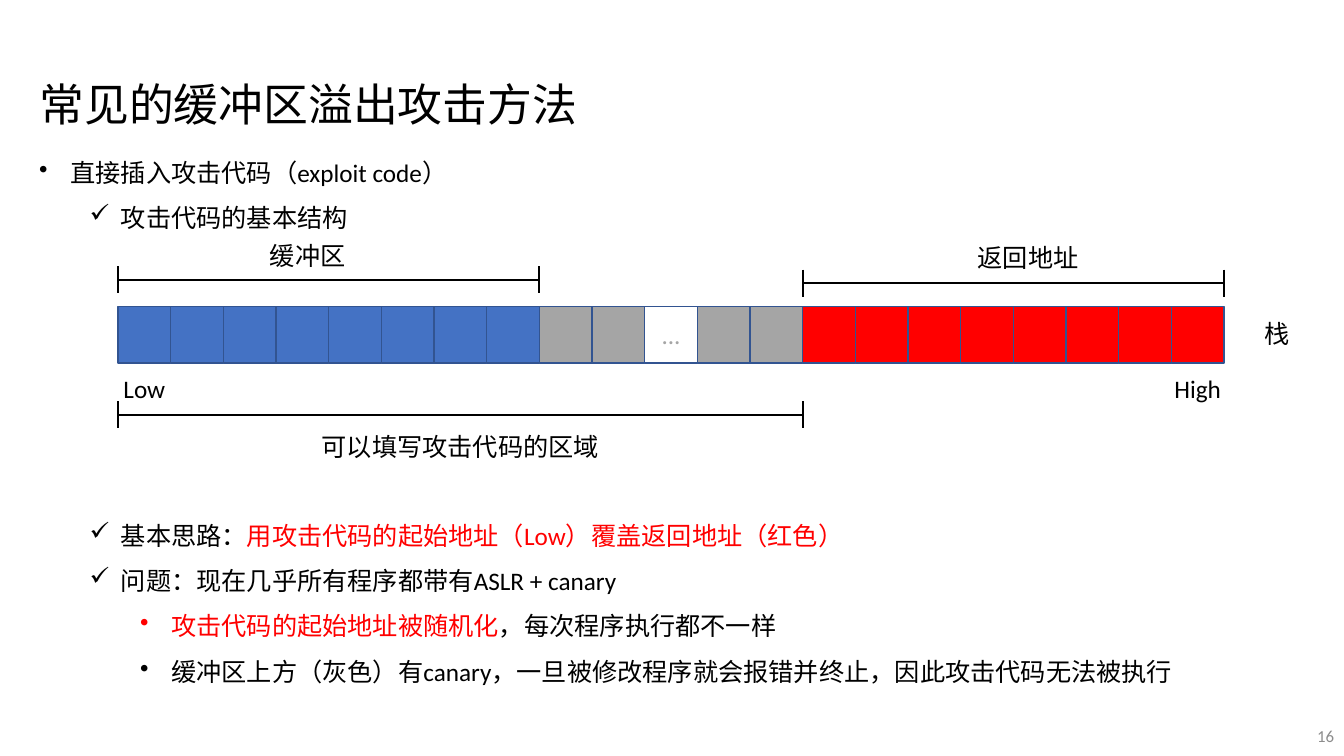
from dataclasses import dataclass
from typing import NamedTuple

from lxml import etree
from pptx import Presentation
from pptx import util as u
from pptx.dml.color import RGBColor
from pptx.enum import shapes, text
from pptx.oxml import ns


@dataclass(frozen=True)
class Theme:
    black: str = "000000"
    red: str = "FF0000"
    blue: str = "4472C4"
    grey: str = "A5A5A5"
    white: str = "FFFFFF"
    outline: str = "325491"
    muted: str = "8C8C8C"
    latin: str = "Calibri"
    chinese: str = "Noto Sans CJK SC"
    title: int = 32
    body: int = 18
    small: int = 12
    line_height: float = 32.4


class Span(NamedTuple):
    words: str
    color: str = "000000"


class Bullet(NamedTuple):
    level: int
    mark: str
    spans: list[Span]
    lines_before: int = 0


class Cells(NamedTuple):
    count: int
    fill: str
    words: str = ""


class Bracket(NamedTuple):
    """A dimension line between two stack columns, at a stack row."""
    first: int
    last: int
    row: float


class Label(NamedTuple):
    """Words centred on a stack column; top is a stack row."""
    words: str
    center: float
    top: float
    width: float
    font: str = "Calibri"


THEME = Theme()
WIDTH, HEIGHT = u.Inches(13.33), u.Inches(7.5)
COLUMNS = 21
CAP = 0.48

BULLETS = [
    Bullet(0, "•", [Span("直接插入攻击代码（exploit code）")]),
    Bullet(1, "✓", [Span("攻击代码的基本结构")]),
    Bullet(1, "✓", [Span("基本思路："),
                    Span("用攻击代码的起始地址（Low）覆盖返回地址（红色）", THEME.red)],
           lines_before=6),
    Bullet(1, "✓", [Span("问题：现在几乎所有程序都带有ASLR + canary")]),
    Bullet(2, "•", [Span("攻击代码的起始地址被随机化", THEME.red),
                    Span("，每次程序执行都不一样")]),
    Bullet(2, "•", [Span("缓冲区上方（灰色）有canary，一旦被修改程序就会报错并终止，"
                         "因此攻击代码无法被执行")]),
]
STACK = [
    Cells(8, THEME.blue),
    Cells(2, THEME.grey),
    Cells(1, THEME.white, "..."),
    Cells(2, THEME.grey),
    Cells(8, THEME.red),
]
BRACKETS = [Bracket(0, 8, -0.47), Bracket(13, 21, -0.41), Bracket(0, 13, 1.92)]
LABELS = [
    Label("可以填写攻击代码的区域", 6.5, 2.13, 5.84),
    Label("返回地址", 17.28, -1.23, 2.32),
    Label("Low", 0.5, 1.09, 1.19),
    Label("High", 20.5, 1.09, 1.28),
    Label("栈", 22, 0.13, 0.86, THEME.chinese),
    Label("缓冲区", 3.6, -1.25, 1.84, THEME.chinese),
]


def across(percent: float) -> int:
    return round(WIDTH * percent / 100)


def down(percent: float) -> int:
    return round(HEIGHT * percent / 100)


def column(number: float) -> int:
    """Left edge of a stack column."""
    return across(8.78 + 82.3 * number / COLUMNS)


def row(number: float) -> int:
    """Top edge of a stack row; row 0 holds the cells."""
    return down(40.53 + 7.47 * number)


def write(para, words: str, *, size: float = THEME.body,
          color: str = THEME.black, font: str = THEME.latin) -> None:
    span = para.add_run()
    span.text = words
    span.font.size = u.Pt(size)
    span.font.name = font
    span.font.color.rgb = RGBColor.from_string(color)


def add_box(page, left: int, top: int, width: int, height: int, *,
            wrap: bool = True, anchor=text.MSO_ANCHOR.TOP):
    frame = page.shapes.add_textbox(left, top, width, height).text_frame
    frame.word_wrap = wrap
    frame.vertical_anchor = anchor
    return frame


def add_title(page) -> None:
    title = page.shapes.title
    title.left, title.top = across(2.18), down(9.47)
    title.width, title.height = across(44.56), down(8.53)
    frame = title.text_frame
    frame.auto_size = text.MSO_AUTO_SIZE.NONE
    frame.vertical_anchor = text.MSO_ANCHOR.TOP
    para = frame.paragraphs[0]
    para.alignment = text.PP_ALIGN.LEFT
    write(para, "常见的缓冲区溢出攻击方法", size=THEME.title)


def add_bullets(page, bullets: list[Bullet]) -> None:
    frame = add_box(page, across(2.18), down(18.13), across(88.75), down(73.33))
    for index, bullet in enumerate(bullets):
        para = frame.add_paragraph() if index else frame.paragraphs[0]
        para.level = bullet.level
        para.line_spacing = u.Pt(THEME.line_height)
        para.space_before = u.Pt(THEME.line_height * bullet.lines_before)
        props = para._p.get_or_add_pPr()
        props.set("marL", str(u.Inches(0.31 + 0.5 * bullet.level)))
        props.set("indent", str(u.Inches(-0.31)))
        etree.SubElement(props, ns.qn("a:buChar")).set("char", bullet.mark)
        for span in bullet.spans:
            write(para, span.words, color=span.color)


def add_stack(page, stack: list[Cells]) -> None:
    start = 0
    for cells in stack:
        for number in range(start, start + cells.count):
            cell = page.shapes.add_shape(
                shapes.MSO_SHAPE.RECTANGLE, column(number), row(0),
                column(number + 1) - column(number), row(1) - row(0))
            cell.shadow.inherit = False
            cell.fill.solid()
            cell.fill.fore_color.rgb = RGBColor.from_string(cells.fill)
            cell.line.color.rgb = RGBColor.from_string(THEME.outline)
            cell.line.width = u.Pt(1)
            if cells.words:
                para = cell.text_frame.paragraphs[0]
                para.alignment = text.PP_ALIGN.CENTER
                write(para, cells.words, color=THEME.grey)
        start += cells.count


def add_line(page, x1: int, y1: int, x2: int, y2: int) -> None:
    line = page.shapes.add_connector(shapes.MSO_CONNECTOR.STRAIGHT, x1, y1, x2, y2)
    line.line.color.rgb = RGBColor.from_string(THEME.black)
    line.line.width = u.Pt(1.5)
    etree.SubElement(line._element.spPr, ns.qn("a:effectLst"))


def add_bracket(page, bracket: Bracket) -> None:
    left, right = column(bracket.first), column(bracket.last)
    for x in (left, right):
        add_line(page, x, row(bracket.row - CAP / 2), x, row(bracket.row + CAP / 2))
    add_line(page, left, row(bracket.row), right, row(bracket.row))


def add_label(page, label: Label) -> None:
    left = column(label.center - label.width / 2)
    right = column(label.center + label.width / 2)
    frame = add_box(page, left, row(label.top), right - left, down(5.33), wrap=False)
    para = frame.paragraphs[0]
    para.alignment = text.PP_ALIGN.CENTER
    write(para, label.words, font=label.font)


def add_page_number(page) -> None:
    frame = add_box(page, across(77.5), down(94.67), across(22.5), down(5.33),
                    anchor=text.MSO_ANCHOR.MIDDLE)
    para = frame.paragraphs[0]
    para.alignment = text.PP_ALIGN.RIGHT
    write(para, "16", size=THEME.small, color=THEME.muted)


def main() -> None:
    deck = Presentation()
    deck.slide_width, deck.slide_height = WIDTH, HEIGHT
    page = deck.slides.add_slide(deck.slide_layouts[5])
    add_title(page)
    add_bullets(page, BULLETS)
    add_page_number(page)
    add_stack(page, STACK)
    for bracket in BRACKETS:
        add_bracket(page, bracket)
    for label in LABELS:
        add_label(page, label)
    deck.save("out.pptx")


if __name__ == "__main__":
    main()
